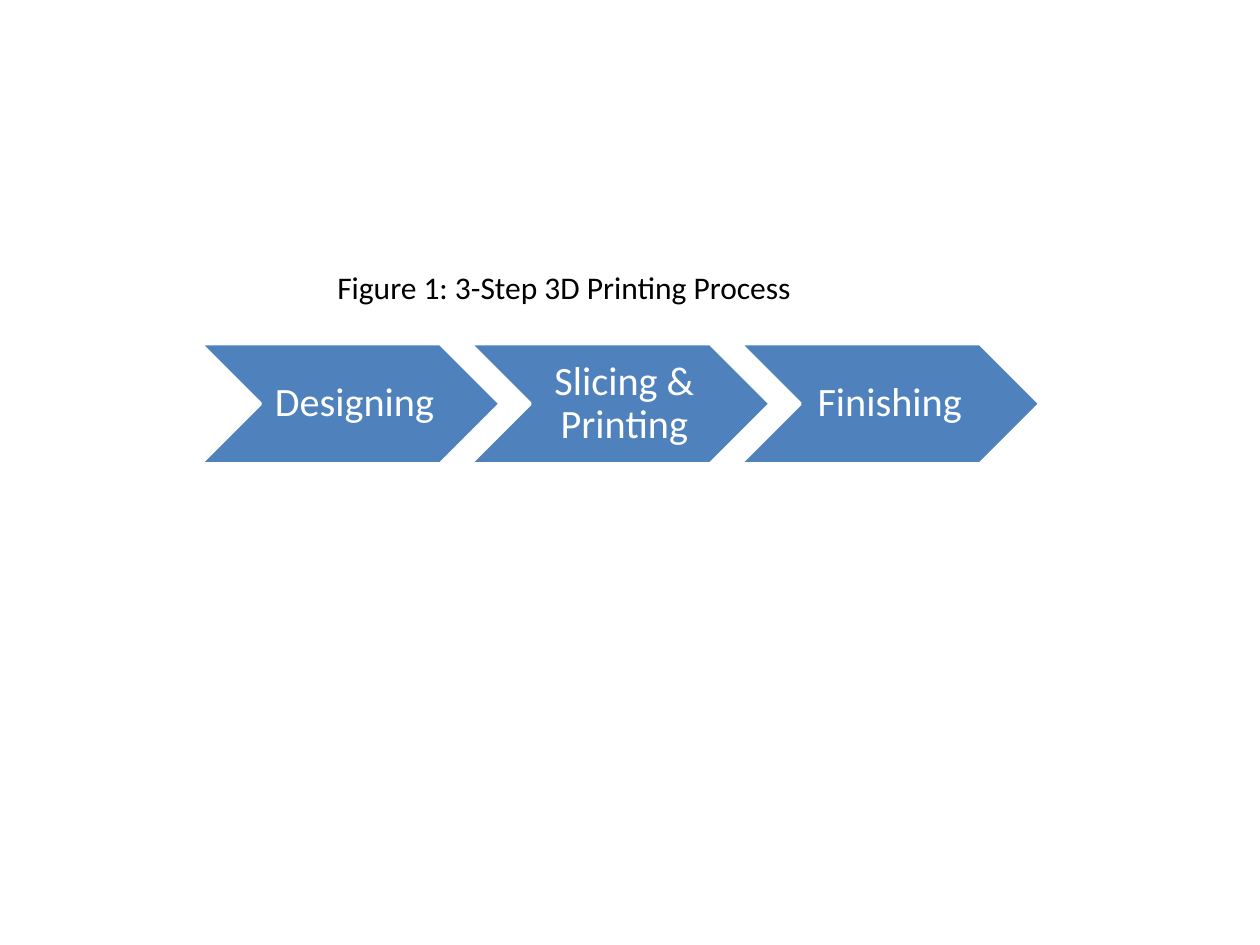
"""Build a slide with a captioned three-step chevron process."""
from dataclasses import dataclass

from pptx import Presentation
from pptx.dml.color import RGBColor
from pptx.enum.shapes import MSO_SHAPE
from pptx.enum.text import MSO_ANCHOR, MSO_AUTO_SIZE, PP_ALIGN
from pptx.shapes.autoshape import Shape
from pptx.slide import Slide
from pptx.util import Cm, Pt


@dataclass(frozen=True)
class Theme:
    font: str = "Calibri"
    accent: RGBColor = RGBColor(0x4F, 0x81, 0xBD)
    light: RGBColor = RGBColor(0xFF, 0xFF, 0xFF)
    dark: RGBColor = RGBColor(0x00, 0x00, 0x00)
    step_size: int = 23
    caption_size: int = 18
    outline: int = 2


@dataclass(frozen=True)
class Box:
    left: float
    top: float
    width: float
    height: float

    def lengths(self) -> tuple[Cm, Cm, Cm, Cm]:
        return Cm(self.left), Cm(self.top), Cm(self.width), Cm(self.height)


@dataclass(frozen=True)
class Step:
    label: str
    box: Box


THEME = Theme()
CAPTION_BOX = Box(6.55, 5.28, 10.59, 1.03)
FIRST_BOX = Box(4.04, 6.93, 6.05, 2.42)
STEP_PITCH = 5.44
LABELS = ("Designing", "Slicing & Printing", "Finishing ")


def write_text(shape: Shape, text: str, *, size: int, color: RGBColor,
               align: PP_ALIGN = PP_ALIGN.LEFT, spacing: float = 1.0) -> None:
    frame = shape.text_frame
    frame.word_wrap = True
    paragraph = frame.paragraphs[0]
    paragraph.alignment = align
    paragraph.line_spacing = spacing
    run = paragraph.add_run()
    run.text = text
    run.font.name = THEME.font
    run.font.size = Pt(size)
    run.font.color.rgb = color


def add_step(slide: Slide, step: Step) -> None:
    shape = slide.shapes.add_shape(MSO_SHAPE.CHEVRON, *step.box.lengths())
    shape.shadow.inherit = False
    shape.fill.solid()
    shape.fill.fore_color.rgb = THEME.accent
    shape.line.color.rgb = THEME.light
    shape.line.width = Pt(THEME.outline)
    frame = shape.text_frame
    frame.vertical_anchor = MSO_ANCHOR.MIDDLE
    frame.margin_left = Cm(0.25)
    frame.margin_right = frame.margin_top = frame.margin_bottom = Cm(0.08)
    write_text(shape, step.label, size=THEME.step_size, color=THEME.light,
               align=PP_ALIGN.CENTER, spacing=0.9)


def add_caption(slide: Slide, text: str) -> None:
    shape = slide.shapes.add_textbox(*CAPTION_BOX.lengths())
    shape.text_frame.auto_size = MSO_AUTO_SIZE.SHAPE_TO_FIT_TEXT
    write_text(shape, text, size=THEME.caption_size, color=THEME.dark)


def main() -> None:
    presentation = Presentation()
    presentation.slide_width = Cm(25.4)
    presentation.slide_height = Cm(19.05)
    slide = presentation.slides.add_slide(presentation.slide_layouts[6])
    for index, label in enumerate(LABELS):
        left = FIRST_BOX.left + index * STEP_PITCH
        box = Box(left, FIRST_BOX.top, FIRST_BOX.width, FIRST_BOX.height)
        add_step(slide, Step(label, box))
    add_caption(slide, "Figure 1: 3-Step 3D Printing Process")
    presentation.save("out.pptx")


if __name__ == "__main__":
    main()
